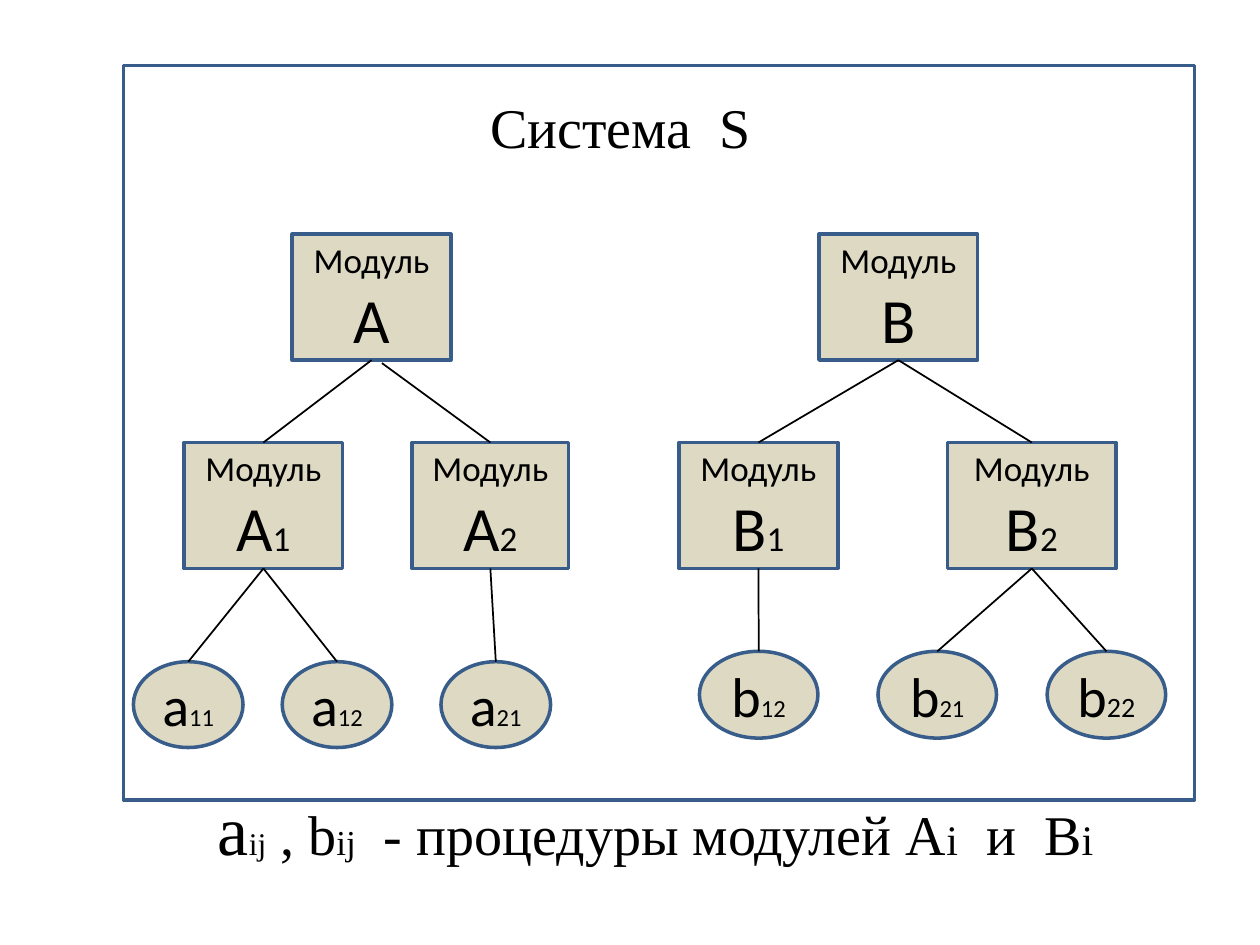
from typing import NamedTuple

from lxml.etree import SubElement
from pptx import Presentation
from pptx.dml.color import RGBColor
from pptx.enum.shapes import MSO_CONNECTOR, MSO_SHAPE
from pptx.enum.text import MSO_ANCHOR, MSO_AUTO_SIZE, PP_ALIGN
from pptx.oxml.ns import qn
from pptx.util import Cm, Pt

SERIF, SANS = "Times New Roman", "Calibri"
BLACK, WHITE, BEIGE, BLUE = "000000", "FFFFFF", "DDD9C3", "385D8A"
TOP, BOTTOM = 0, 2


class Piece(NamedTuple):
    text: str
    size: int


class Module(NamedTuple):
    letter: str
    index: str
    left: float
    top: float
    width: float = 3.2


class Procedure(NamedTuple):
    letter: str
    index: str
    left: float
    top: float
    width: float
    height: float
    index_size: int = 14


class Link(NamedTuple):
    parent: str
    child: str


MODULE_HEIGHT = 2.54
UPPER, LOWER = 4.72, 8.92
MODULES = [
    Module("А", "", 5.89, UPPER),
    Module("В", "", 16.51, UPPER),
    Module("А", "1", 3.71, LOWER),
    Module("А", "2", 8.31, LOWER, 3.15),
    Module("В", "1", 13.69, LOWER),
    Module("В", "2", 19.1, LOWER, 3.4),
]
A_SIZE = (13.34, 2.21, 1.73)
B_SIZE = (13.13, 2.39, 1.75)
PROCEDURES = [
    Procedure("b", "12", 14.1, *B_SIZE),
    Procedure("b", "21", 17.7, *B_SIZE),
    Procedure("b", "22", 21.11, *B_SIZE, index_size=16),
    Procedure("а", "11", 2.69, *A_SIZE),
    Procedure("а", "12", 5.69, *A_SIZE),
    Procedure("а", "21", 8.89, *A_SIZE),
]
LINKS = [
    Link("А", "А1"), Link("В", "В2"), Link("В", "В1"),
    Link("А1", "а11"), Link("А1", "а12"), Link("А2", "а21"),
    Link("В1", "b12"), Link("В2", "b21"), Link("В2", "b22"),
]
CAPTION = [
    Piece("a", 40), Piece("ij", 18), Piece(" , b", 32), Piece("ij", 20),
    Piece("  - процедуры модулей А", 32), Piece("i", 24),
    Piece("  и  B", 32), Piece("i", 24),
]


def color(value: str) -> RGBColor:
    return RGBColor.from_string(value)


def add_runs(paragraph, pieces: list[Piece], font: str) -> None:
    for piece in pieces:
        run = paragraph.add_run()
        run.text = piece.text
        run.font.name = font
        run.font.size = Pt(piece.size)
        run.font.color.rgb = color(BLACK)


def add_outlined(slide, kind, left: float, top: float, width: float,
                 height: float, fill: str):
    """Add a shape with the common blue outline and no shadow."""
    shape = slide.shapes.add_shape(kind, Cm(left), Cm(top), Cm(width), Cm(height))
    shape.shadow.inherit = False
    shape.fill.solid()
    shape.fill.fore_color.rgb = color(fill)
    shape.line.color.rgb = color(BLUE)
    shape.line.width = Pt(2)
    return shape


def write_centered(shape, lines: list[list[Piece]]) -> None:
    frame = shape.text_frame
    frame.word_wrap = True
    frame.vertical_anchor = MSO_ANCHOR.MIDDLE
    for number, pieces in enumerate(lines):
        paragraph = frame.add_paragraph() if number else frame.paragraphs[0]
        paragraph.alignment = PP_ALIGN.CENTER
        add_runs(paragraph, pieces, SANS)


def add_module(slide, module: Module):
    shape = add_outlined(slide, MSO_SHAPE.RECTANGLE, module.left, module.top,
                         module.width, MODULE_HEIGHT, BEIGE)
    name = [Piece(module.letter, 36)]
    if module.index:
        name.append(Piece(module.index, 20))
    write_centered(shape, [[Piece("Модуль", 20)], name])
    return shape


def add_procedure(slide, procedure: Procedure):
    shape = add_outlined(slide, MSO_SHAPE.OVAL, procedure.left, procedure.top,
                         procedure.width, procedure.height, BEIGE)
    write_centered(shape, [[Piece(procedure.letter, 32),
                            Piece(procedure.index, procedure.index_size)]])
    return shape


def add_line_to(slide, child, left: float = 0, top: float = 0):
    """Add a black line from a point to the top of the child shape."""
    line = slide.shapes.add_connector(MSO_CONNECTOR.STRAIGHT, Cm(left), Cm(top),
                                      Cm(left), Cm(top))
    line.end_connect(child, TOP)
    line.line.color.rgb = color(BLACK)
    line.line.width = Pt(1)
    SubElement(line.element.spPr, qn("a:effectLst"))
    return line


def add_title(slide) -> None:
    title = slide.shapes.title
    title.left, title.top, title.width, title.height = Cm(8.51), Cm(1.73), Cm(8), Cm(1.63)
    frame = title.text_frame
    frame.word_wrap = True
    frame.auto_size = MSO_AUTO_SIZE.SHAPE_TO_FIT_TEXT
    frame.vertical_anchor = MSO_ANCHOR.TOP
    frame.paragraphs[0].alignment = PP_ALIGN.CENTER
    add_runs(frame.paragraphs[0], [Piece("Система  S", 32)], SERIF)


def add_caption(slide) -> None:
    caption = slide.shapes.add_textbox(Cm(4.14), Cm(15.72), Cm(18.24), Cm(1.96))
    caption.text_frame.word_wrap = False
    caption.text_frame.auto_size = MSO_AUTO_SIZE.SHAPE_TO_FIT_TEXT
    add_runs(caption.text_frame.paragraphs[0], CAPTION, SERIF)


def main() -> None:
    presentation = Presentation()
    presentation.slide_width, presentation.slide_height = Cm(25.4), Cm(19.05)
    slide = presentation.slides.add_slide(presentation.slide_layouts[5])

    add_title(slide)
    system = add_outlined(slide, MSO_SHAPE.RECTANGLE, 2.49, 1.32, 21.59, 14.81, WHITE)
    slide.shapes.title.element.addprevious(system.element)  # frame goes behind the title

    nodes = {item.letter + item.index: add_module(slide, item) for item in MODULES}
    for item in PROCEDURES:
        nodes[item.letter + item.index] = add_procedure(slide, item)
    for link in LINKS:
        line = add_line_to(slide, nodes[link.child])
        line.begin_connect(nodes[link.parent], BOTTOM)
    add_line_to(slide, nodes["А2"], 7.7, 7.32)  # starts beside the middle of module А
    add_caption(slide)

    presentation.save("out.pptx")


if __name__ == "__main__":
    main()
